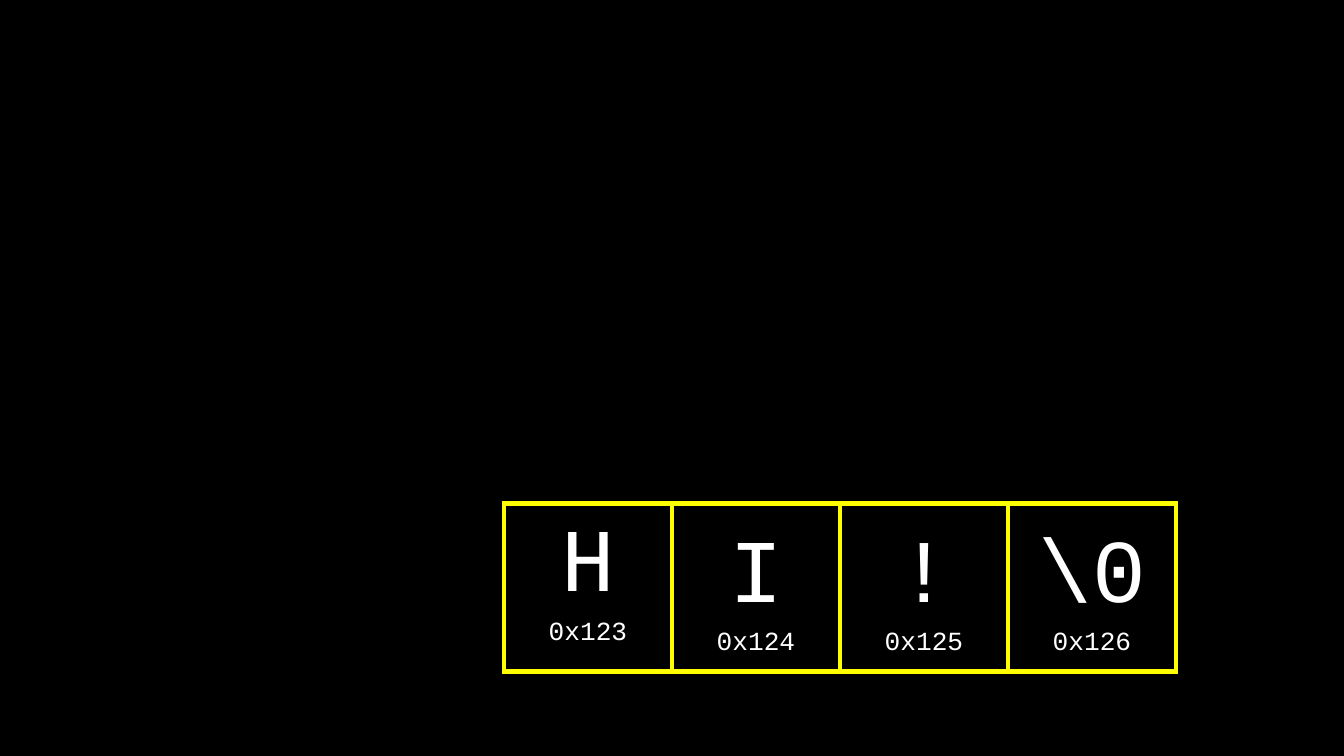
from lxml.etree import SubElement
from pptx import Presentation
from pptx.dml.color import RGBColor
from pptx.enum.text import MSO_ANCHOR, PP_ALIGN
from pptx.oxml.ns import qn
from pptx.util import Cm, Pt

BLACK, WHITE, YELLOW = "000000", "FFFFFF", "FFFF00"
FONT = "Courier New"
ROWS, COLUMNS = 5, 8
CELL_SIZE = Cm(25.4) // COLUMNS
MEMORY_ROW, FIRST_COLUMN = 3, 3
CHARACTERS = ["H", "I", "!", "\\0"]
FIRST_ADDRESS = 0x123
NO_STYLE_NO_GRID = "{2D5ABB26-0587-4C30-8999-92F81FD0307C}"
SIDES = {"lnL": (0, -1), "lnR": (0, 1), "lnT": (-1, 0), "lnB": (1, 0)}


def color(value):
    """Return the colour for a hex string."""
    return RGBColor.from_string(value)


def add_text(paragraph, text, *, size, fill=WHITE, font=FONT):
    """Write centred text into a paragraph."""
    paragraph.alignment = PP_ALIGN.CENTER
    run = paragraph.add_run()
    run.text = text
    run.font.name = font
    run.font.size = Pt(size)
    run.font.color.rgb = color(fill)


def add_border(cell, side, *, fill=YELLOW, width=3):
    """Draw a solid border on one side of a cell."""
    properties = cell._tc.get_or_add_tcPr()
    line = SubElement(properties, qn(f"a:{side}"), w=str(Pt(width)))
    solid = SubElement(line, qn("a:solidFill"))
    SubElement(solid, qn("a:srgbClr"), val=fill)


def is_memory(row, column):
    """Tell whether a grid position holds a byte of the string."""
    return row == MEMORY_ROW and 0 <= column - FIRST_COLUMN < len(CHARACTERS)


def format_cell(cell, row, column):
    """Give a cell its margins, its borders and no fill."""
    cell.margin_left = cell.margin_right = Cm(0.25)
    cell.margin_top = cell.margin_bottom = Cm(0.25)
    for side, (down, right) in SIDES.items():
        if is_memory(row, column) or is_memory(row + down, column + right):
            add_border(cell, side)
    cell.fill.background()


def add_grid(slide):
    """Add the square memory grid without a table style."""
    table = slide.shapes.add_table(
        ROWS, COLUMNS, 0, 0, CELL_SIZE * COLUMNS, CELL_SIZE * ROWS
    ).table
    table.first_row = table.horz_banding = False
    table._tbl.tblPr.find(qn("a:tableStyleId")).text = NO_STYLE_NO_GRID
    for row in range(ROWS):
        for column in range(COLUMNS):
            format_cell(table.cell(row, column), row, column)
    table.cell(1, 0).merge(table.cell(1, COLUMNS - 1))
    return table


def fill_memory(table):
    """Write each character above its address."""
    for index, character in enumerate(CHARACTERS):
        cell = table.cell(MEMORY_ROW, FIRST_COLUMN + index)
        cell.vertical_anchor = MSO_ANCHOR.BOTTOM if index else MSO_ANCHOR.TOP
        frame = cell.text_frame
        add_text(frame.paragraphs[0], character, size=48)
        add_text(frame.add_paragraph(), f"{FIRST_ADDRESS + index:#x}", size=14)


def main():
    """Build the slide and save it."""
    presentation = Presentation()
    presentation.slide_width = Cm(25.4)
    presentation.slide_height = Cm(14.29)
    slide = presentation.slides.add_slide(presentation.slide_layouts[6])
    background = slide.background.fill
    background.solid()
    background.fore_color.rgb = color(BLACK)
    fill_memory(add_grid(slide))
    presentation.save("out.pptx")


if __name__ == "__main__":
    main()
